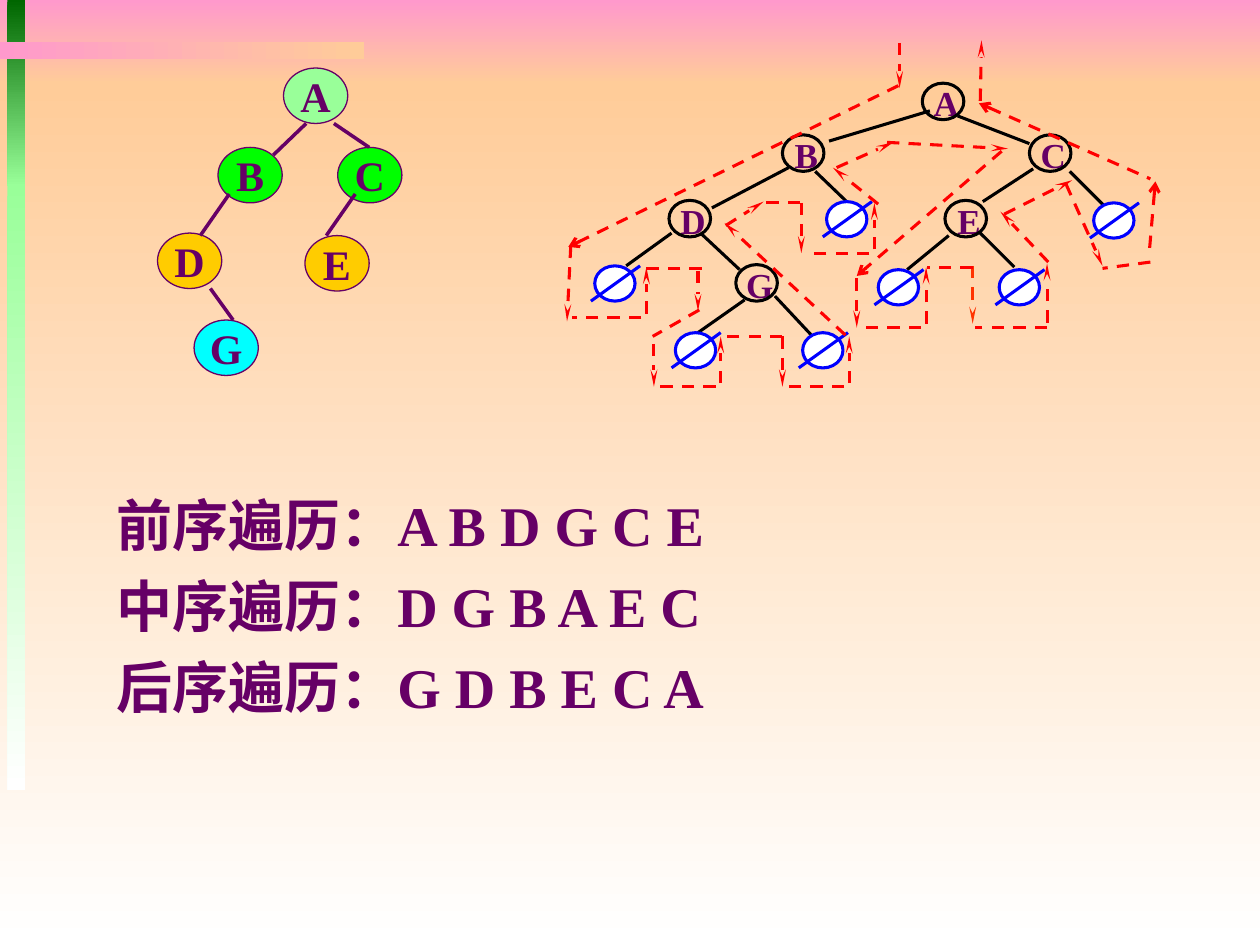
"""Build a slide showing a binary tree, its traversal route and the three traversal orders."""
from dataclasses import dataclass

from lxml.etree import SubElement
from pptx import Presentation
from pptx.dml.color import RGBColor
from pptx.enum.dml import MSO_LINE
from pptx.enum.shapes import MSO_CONNECTOR, MSO_SHAPE
from pptx.enum.text import MSO_ANCHOR, PP_ALIGN
from pptx.oxml.ns import qn
from pptx.util import Cm, Pt


@dataclass(frozen=True)
class Theme:
    font: str = "Times New Roman"
    ink: str = "660066"
    black: str = "000000"
    blue: str = "0000FF"
    red: str = "FF0000"
    orange: str = "FF3300"
    white: str = "FFFFFF"
    pink: str = "FF99CC"
    peach: str = "FFCC99"
    forest: str = "006600"
    mint: str = "99FF99"
    green: str = "00FF00"
    gold: str = "FFCC00"
    cyan: str = "00FFFF"
    body_size: int = 32
    node_size: int = 24
    label_size: int = 20
    thin: float = 0.75
    medium: float = 1.75
    thick: float = 2


THEME = Theme()
DOWN, ACROSS = 270, 0
BANDS = [
    (0, 0, 10, 0.67, THEME.pink, THEME.peach, DOWN),
    (0, 0.67, 10, 6.83, THEME.peach, THEME.white, DOWN),
    (0.06, 0, 0.14, 1.48, THEME.forest, THEME.mint, DOWN),
    (0.06, 1.46, 0.14, 4.81, THEME.mint, THEME.white, DOWN),
    (0, 0.33, 2.89, 0.14, THEME.pink, THEME.peach, ACROSS),
]
ORDERS = ["前序遍历：A B D G C E", "中序遍历：D G B A E C", "后序遍历：G D B E C A"]

TREE_NODES = [
    ("A", 2.25, 0.54, THEME.mint), ("B", 1.73, 1.17, THEME.green),
    ("E", 2.42, 1.87, THEME.gold), ("D", 1.25, 1.85, THEME.gold),
    ("C", 2.68, 1.17, THEME.green), ("G", 1.54, 2.54, THEME.cyan),
]
TREE_EDGES = [
    (2.43, 0.98, 2.17, 1.23), (2.65, 0.98, 2.93, 1.17), (1.67, 2.29, 1.85, 2.54),
    (1.82, 1.54, 1.59, 1.87), (2.82, 1.54, 2.59, 1.87),
]
FULL_NODES = [
    ("A", 7.32, 0.66), ("B", 6.21, 1.07), ("D", 5.31, 1.59),
    ("C", 8.17, 1.07), ("E", 7.5, 1.59), ("G", 5.84, 2.1),
]
FULL_EDGES = [
    (7.38, 0.88, 6.58, 1.12), (7.6, 0.92, 8.17, 1.14), (6.26, 1.33, 5.65, 1.65),
    (5.56, 1.85, 5.87, 2.14), (8.2, 1.34, 7.8, 1.6), (6.47, 1.36, 6.73, 1.61),
    (5.33, 1.85, 4.97, 2.11), (5.91, 2.38, 5.54, 2.64), (6.15, 2.35, 6.44, 2.66),
    (7.78, 1.85, 8.05, 2.12), (7.53, 1.87, 7.2, 2.14), (8.49, 1.36, 8.76, 1.63),
]
EMPTY_NODES = [
    (4.72, 2.11), (5.36, 2.64), (6.37, 2.64), (6.97, 2.14),
    (7.93, 2.14), (6.56, 1.6), (8.68, 1.61),
]

STEALTH = ("tailEnd", {"type": "stealth", "w": "sm", "len": "lg"})
OPEN_END = ("tailEnd", {"type": "arrow"})
OPEN_START = ("headEnd", {"type": "arrow"})
ROUTE = [
    (THEME.orange, STEALTH, [(7.72, 2.11, 7.72, 2.57)]),
    (THEME.red, OPEN_START, [(7.77, 0.82, 9.13, 1.42), (9.17, 1.44, 9.12, 2.02)]),
    (THEME.red, OPEN_END, [(7.13, 0.68, 4.51, 1.96), (7.95, 1.2, 6.8, 2.19)]),
    (THEME.red, STEALTH, [
        (7.14, 0.34, 7.14, 0.7), (4.53, 1.95, 4.5, 2.55), (5.13, 2.49, 5.13, 2.12),
        (5.54, 2.15, 5.54, 2.47), (6.21, 2.67, 6.21, 3.07), (6.74, 3.04, 6.74, 2.67),
        (5.19, 2.73, 5.19, 3.07), (5.72, 3.04, 5.72, 2.67), (6.71, 2.66, 5.75, 1.77),
        (5.76, 1.79, 6.06, 1.6), (6.36, 1.61, 6.36, 2.01), (6.94, 1.98, 6.94, 1.61),
        (6.97, 1.62, 6.61, 1.33), (6.64, 1.33, 7.09, 1.13), (7.04, 1.13, 8, 1.18),
        (8.31, 2.56, 8.31, 2.09), (6.8, 2.21, 6.8, 2.6), (7.35, 2.57, 7.35, 2.12),
        (8.32, 2.08, 7.94, 1.68), (7.97, 1.7, 8.51, 1.43), (7.78, 0.8, 7.79, 0.32),
        (8.46, 1.46, 8.75, 2.11),
    ]),
    (THEME.red, None, [
        (5.09, 2.52, 4.54, 2.52), (5.57, 2.13, 5.12, 2.13), (5.55, 2.46, 5.18, 2.67),
        (6.7, 3.07, 6.22, 3.07), (5.68, 3.07, 5.2, 3.07), (6.21, 2.67, 5.72, 2.67),
        (6.9, 2.01, 6.42, 2.01), (6.35, 1.61, 6.08, 1.61), (8.31, 2.6, 7.74, 2.6),
        (7.31, 2.6, 6.83, 2.6), (7.72, 2.12, 7.36, 2.12), (9.13, 2.08, 8.75, 2.13),
    ]),
]


def lengths(*inches):
    return [Cm(value * 2.54) for value in inches]


def assign(target, values):
    for name, value in values.items():
        setattr(target, name, value)


def add_shape(page, kind, place, fill=None, line=None, width=THEME.medium):
    shape = page.shapes.add_shape(kind, *lengths(*place))
    shape.shadow.inherit = False
    if fill:
        shape.fill.solid()
        shape.fill.fore_color.rgb = RGBColor.from_string(fill)
    else:
        shape.fill.background()
    if line:
        shape.line.color.rgb = RGBColor.from_string(line)
        shape.line.width = Pt(width)
    else:
        shape.line.fill.background()
    return shape


def add_line(page, ends, color, width=THEME.medium, dash=None, arrow=None):
    line = page.shapes.add_connector(MSO_CONNECTOR.STRAIGHT, *lengths(*ends))
    line.line.color.rgb = RGBColor.from_string(color)
    assign(line.line, {"width": Pt(width), "dash_style": dash})
    if arrow:
        tag, attributes = arrow
        SubElement(line.line._get_or_add_ln(), qn(f"a:{tag}"), attributes)
    SubElement(line._element.spPr, qn("a:effectLst"))


def write(box, lines, size, frame, align=PP_ALIGN.CENTER, gap=0, hanging=0):
    assign(box.text_frame, frame)
    for index, words in enumerate(lines):
        para = box.text_frame.add_paragraph() if index else box.text_frame.paragraphs[0]
        assign(para, {"alignment": align, "space_before": Pt(gap if index else 0)})
        if hanging:
            indent, = lengths(hanging)
            for name, value in {"marL": indent, "indent": -indent}.items():
                para._p.get_or_add_pPr().set(name, str(value))
        span = para.add_run()
        span.text = words
        assign(span.font, {"name": THEME.font, "size": Pt(size), "bold": True})
        span.font.color.rgb = RGBColor.from_string(THEME.ink)


def add_bands(page):
    for *place, start, end, angle in BANDS:
        fill = add_shape(page, MSO_SHAPE.RECTANGLE, place).fill
        fill.gradient()
        fill.gradient_angle = angle
        for stop, color, position in zip(fill.gradient_stops, (start, end), (0, 1)):
            stop.color.rgb = RGBColor.from_string(color)
            stop.position = position


def add_tree(page):
    frame = {"word_wrap": False, "vertical_anchor": MSO_ANCHOR.MIDDLE}
    for letter, left, top, fill in TREE_NODES:
        node = add_shape(page, MSO_SHAPE.OVAL, (left, top, 0.51, 0.44), fill, THEME.ink, THEME.thin)
        write(node, [letter], THEME.node_size, frame)
    for ends in TREE_EDGES:
        add_line(page, ends, THEME.ink, THEME.thick)


def add_full_tree(page):
    for ends in FULL_EDGES:
        add_line(page, ends, THEME.black)
    frame = {"word_wrap": True, "margin_left": 0, "margin_right": 0,
             "margin_top": Cm(0.1), "margin_bottom": 0}
    for letter, left, top in FULL_NODES:
        label = page.shapes.add_textbox(*lengths(left + 0.05, top - 0.05, 0.28, 0.35))
        write(label, [letter], THEME.label_size, frame)
        add_shape(page, MSO_SHAPE.OVAL, (left, top, 0.33, 0.29), line=THEME.black)
    for left, top in EMPTY_NODES:
        add_shape(page, MSO_SHAPE.OVAL, (left, top, 0.32, 0.28), THEME.white, THEME.blue)
        add_line(page, (left + 0.36, top, left - 0.03, top + 0.28), THEME.blue)


def main():
    deck = Presentation()
    width, height = lengths(10, 7.5)
    assign(deck, {"slide_width": width, "slide_height": height})
    page = deck.slides.add_slide(deck.slide_layouts[6])
    add_bands(page)
    orders = page.shapes.add_textbox(*lengths(0.83, 3.84, 6.8, 2.01))
    write(orders, ORDERS, THEME.body_size, {"word_wrap": True}, PP_ALIGN.JUSTIFY, 8, 0.38)
    add_tree(page)
    add_full_tree(page)
    for color, arrow, steps in ROUTE:
        for ends in steps:
            add_line(page, ends, color, dash=MSO_LINE.DASH, arrow=arrow)
    deck.save("out.pptx")


if __name__ == "__main__":
    main()
